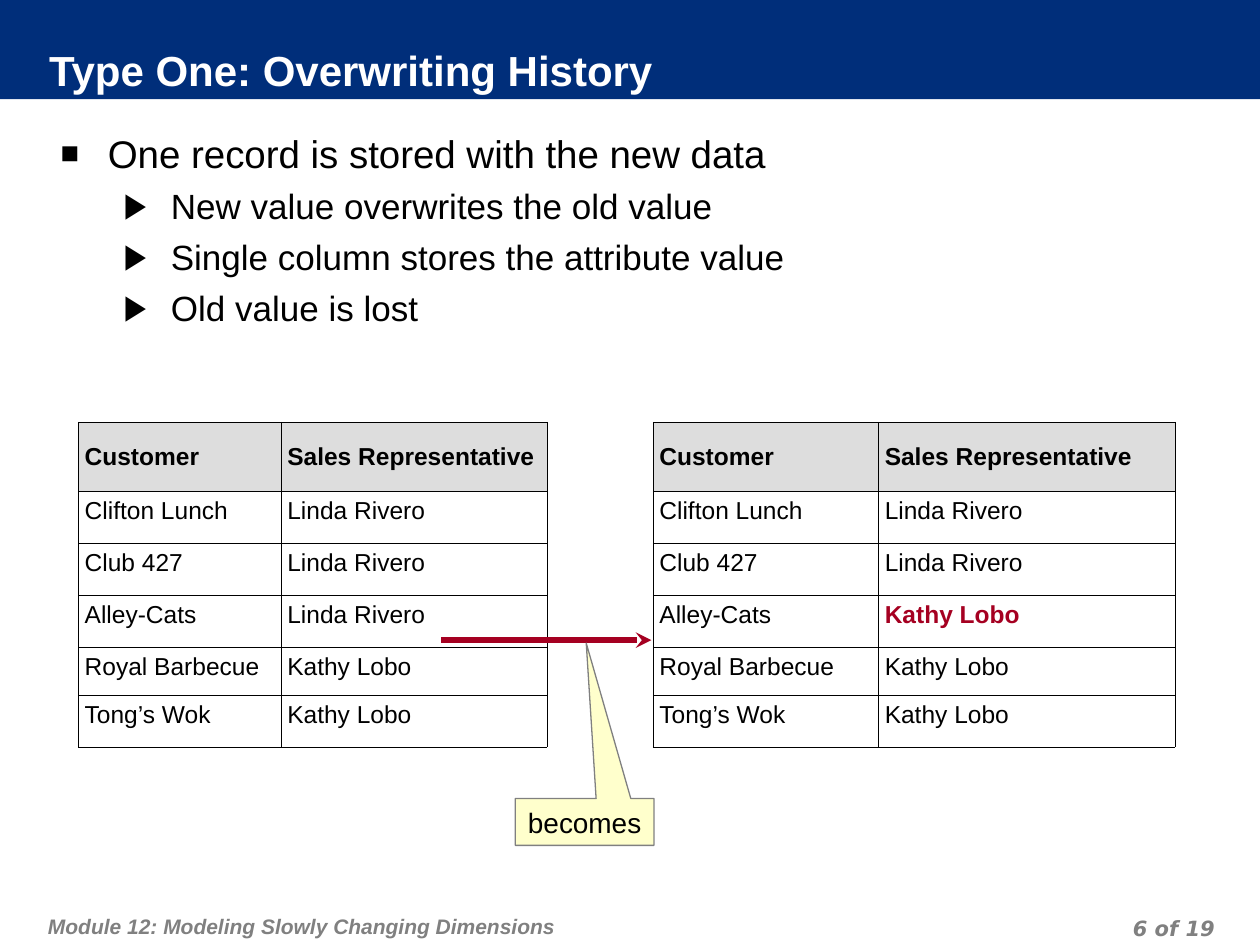
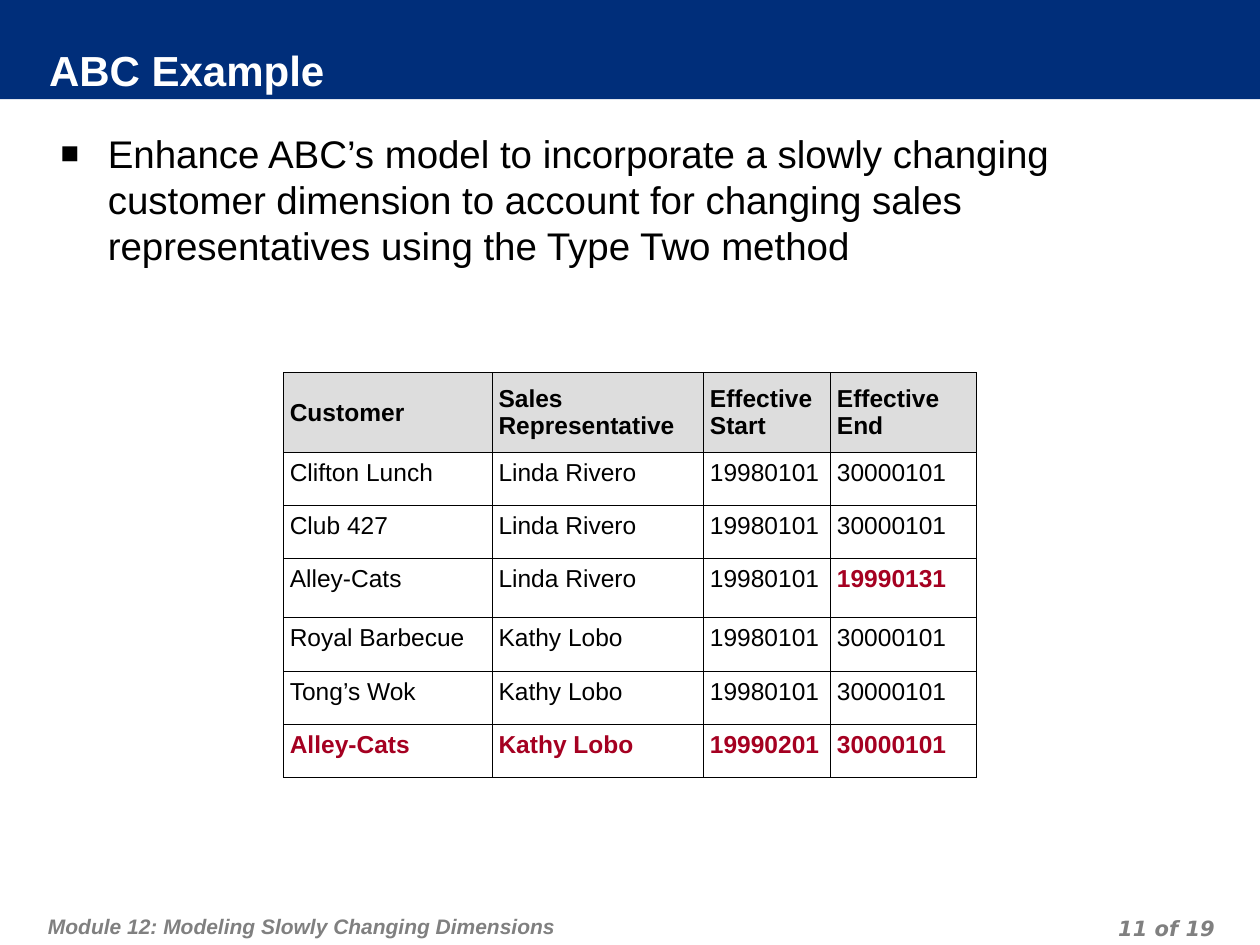
import pptx
import pptx.util
import pptx.oxml
import pptx.oxml.ns
import pptx.dml.color
import pptx.enum.shapes
import pptx.enum.text
from lxml import etree

Pt = pptx.util.Pt
qn = pptx.oxml.ns.qn
ALIGN = pptx.enum.text.PP_ALIGN
ANCHOR = pptx.enum.text.MSO_ANCHOR
SHAPE = pptx.enum.shapes.MSO_SHAPE

COLORS = {
    "band": "002E7A", "white": "FFFFFF", "black": "000000", "grey": "808080",
    "header": "DDDDDD", "accent": "A50021", "note": "FFFFCC",
}
RGB = {name: pptx.dml.color.RGBColor.from_string(c) for name, c in COLORS.items()}


def add_run(p, text, size, color="black", bold=False, italic=False, font="Arial"):
    r = p.add_run()
    r.text = text
    r.font.name, r.font.size = font, Pt(size)
    r.font.bold, r.font.italic = bold, italic
    r.font.color.rgb = RGB[color]


def add_grid(s, left, top, widths, heights, rows, marked):
    """Bordered table with a grey header; marked cells are bold and red."""
    frame = s.shapes.add_table(len(rows), len(widths), Pt(left), Pt(top),
                               Pt(sum(widths)), Pt(sum(heights)))
    tbl = frame.table
    tbl.first_row = tbl.horz_banding = False
    for col, width in zip(tbl.columns, widths):
        col.width = Pt(width)
    for i, texts in enumerate(rows):
        tbl.rows[i].height = Pt(heights[i])
        for j, text in enumerate(texts):
            cell = tbl.cell(i, j)
            cell.margin_left = cell.margin_top = cell.margin_bottom = Pt(3.6)
            cell.margin_right = Pt(1.4)
            cell.vertical_anchor = ANCHOR.TOP if i else ANCHOR.MIDDLE
            for side in ("a:lnL", "a:lnR", "a:lnT", "a:lnB"):
                ln = etree.SubElement(cell._tc.get_or_add_tcPr(), qn(side), w=str(Pt(0.45)))
                fill = etree.SubElement(ln, qn("a:solidFill"))
                etree.SubElement(fill, qn("a:srgbClr"), val=COLORS["black"])
            cell.fill.solid()
            cell.fill.fore_color.rgb = RGB["white" if i else "header"]
            p = cell.text_frame.paragraphs[0]
            p.space_before = Pt(3.5)
            hot = (i, j) in marked
            add_run(p, text, 14, "accent" if hot else "black", hot or i == 0)


prs = pptx.Presentation()
prs.slide_width, prs.slide_height = Pt(720), Pt(540)

# Slide contents: title, page number, list of (level, text)
contents = [
    ("Type One: Overwriting History", 6, [
        (0, "One record is stored with the new data"),
        (1, "New value overwrites the old value"),
        (1, "Single column stores the attribute value"),
        (1, "Old value is lost")]),
    ("ABC Example", 11, [
        (0, "Enhance ABC’s model to incorporate a slowly changing customer dimension "
            "to account for changing sales representatives using the Type Two method")]),
]
# Per level: font size, space before, left indent, bullet, bullet size
levels = [(22, 5.5, 27, "■", 80), (20, 5, 63, "▶", 100)]

for title, page, items in contents:
    s = prs.slides.add_slide(prs.slide_layouts[1])

    # Band behind the title
    sp = s.shapes.add_shape(SHAPE.RECTANGLE, 0, 0, Pt(720), Pt(56.6))
    sp.shadow.inherit = False
    sp.fill.solid()
    sp.fill.fore_color.rgb = RGB["band"]
    sp.line.fill.background()
    s.shapes._spTree.insert(2, sp._element)

    # Title
    sp = s.shapes.title
    sp.left, sp.top, sp.width, sp.height = Pt(28), Pt(27.4), Pt(566.6), Pt(28.8)
    sp.fill.solid()
    sp.fill.fore_color.rgb = RGB["band"]
    tf = sp.text_frame
    tf.auto_size = pptx.enum.text.MSO_AUTO_SIZE.NONE
    tf.vertical_anchor = ANCHOR.MIDDLE
    tf.margin_left = tf.margin_top = 0
    tf.margin_right = tf.margin_bottom = Pt(3.6)
    tf.paragraphs[0].alignment = ALIGN.LEFT
    add_run(tf.paragraphs[0], title, 24, "white", True)

    # Bullet list
    sp = s.placeholders[1]
    sp.left, sp.top, sp.width, sp.height = Pt(27.4), Pt(67), Pt(669.6), Pt(445)
    tf = sp.text_frame
    tf.auto_size = pptx.enum.text.MSO_AUTO_SIZE.NONE
    tf.margin_left = tf.margin_top = tf.margin_right = Pt(7.2)
    tf.margin_bottom = Pt(3.6)
    for i, (level, text) in enumerate(items):
        size, before, indent, bullet, bullet_size = levels[level]
        p = tf.add_paragraph() if i else tf.paragraphs[0]
        p.level, p.space_before = level, Pt(before)
        pPr = p._p.get_or_add_pPr()
        pPr.set("marL", str(Pt(indent)))
        pPr.set("indent", str(Pt(-27)))
        clr = etree.SubElement(pPr, qn("a:buClr"))
        etree.SubElement(clr, qn("a:srgbClr"), val=COLORS["black"])
        etree.SubElement(pPr, qn("a:buSzPct"), val=str(bullet_size * 1000))
        etree.SubElement(pPr, qn("a:buFont"), typeface="Arial")
        etree.SubElement(pPr, qn("a:buChar"), char=bullet)
        add_run(p, text, size)

    # Footer: module name and page number
    for left, top, width, height, inset, bottom, align, font, text in [
            (23.8, 511.2, 445, 28.8, 7.2, 3.6, ALIGN.LEFT, "Arial",
             "Module 12: Modeling Slowly Changing Dimensions"),
            (530, 519.8, 167.8, 18, 0, 0, ALIGN.RIGHT, "DejaVu Sans", f"{page} of 19")]:
        sp = s.shapes.add_textbox(Pt(left), Pt(top), Pt(width), Pt(height))
        tf = sp.text_frame
        tf.word_wrap = True
        tf.margin_left = tf.margin_right = Pt(3.6)
        tf.margin_top, tf.margin_bottom = Pt(inset), Pt(bottom)
        p = tf.paragraphs[0]
        p.alignment, p.line_spacing, p.space_before = align, Pt(18), Pt(6)
        add_run(p, text, 12, "grey", True, True, font)

# Customers and their representatives
header = ["Customer", "Sales Representative"]
customers = [
    ["Clifton Lunch", "Linda Rivero"],
    ["Club 427", "Linda Rivero"],
    ["Alley-Cats", "Linda Rivero"],
    ["Royal Barbecue", "Kathy Lobo"],
    ["Tong’s Wok", "Kathy Lobo"],
]

# Slide 1: tables before and after the overwrite
s = prs.slides[0]
heights = [39.5, 29.7, 29.7, 29.7, 27.4, 29.7]
overwritten = [[name, "Kathy Lobo" if name == "Alley-Cats" else rep] for name, rep in customers]
add_grid(s, 44.8, 241.3, [115.8, 152], heights, [header] + customers, set())
add_grid(s, 373.2, 241.3, [128.8, 169.4], heights, [header] + overwritten, {(3, 1)})

# Arrow between the tables
sp = s.shapes.add_connector(pptx.enum.shapes.MSO_CONNECTOR.STRAIGHT,
                            Pt(252), Pt(365.8), Pt(372.2), Pt(365.8))
sp.line.color.rgb = RGB["accent"]
sp.line.width = Pt(3)
etree.SubElement(sp.line._get_or_add_ln(), qn("a:tailEnd"), type="stealth")
etree.SubElement(sp._element.spPr, qn("a:effectLst"))

# Callout on the arrow
sp = s.shapes.add_shape(SHAPE.RECTANGULAR_CALLOUT, Pt(294.5), Pt(456.3), Pt(79.2), Pt(26.8))
sp.adjustments[0], sp.adjustments[1] = 0.012, -3.815
sp.shadow.inherit = False
sp.fill.solid()
sp.fill.fore_color.rgb = RGB["note"]
sp.line.color.rgb = RGB["grey"]
sp.line.width = Pt(0.75)
tf = sp.text_frame
tf.word_wrap = False
tf.vertical_anchor = ANCHOR.MIDDLE
tf.margin_left = tf.margin_right = Pt(7.2)
tf.margin_top = tf.margin_bottom = Pt(3.6)
tf.paragraphs[0].alignment = ALIGN.CENTER
add_run(tf.paragraphs[0], "becomes", 16)

# Slide 2: a dated row for each representative
dated = [row + ["19980101", "19990131" if row[0] == "Alley-Cats" else "30000101"]
         for row in customers]
dated.append(["Alley-Cats", "Kathy Lobo", "19990201", "30000101"])
add_grid(prs.slides[1], 162, 213, [119.3, 120.8, 72.6, 83.4],
         [45.7, 30.3, 30.3, 33.6, 30.9, 30.3, 30.3],
         [header + ["Effective Start", "Effective End"]] + dated,
         {(3, 3)} | {(6, j) for j in range(4)})

prs.save("out.pptx")
